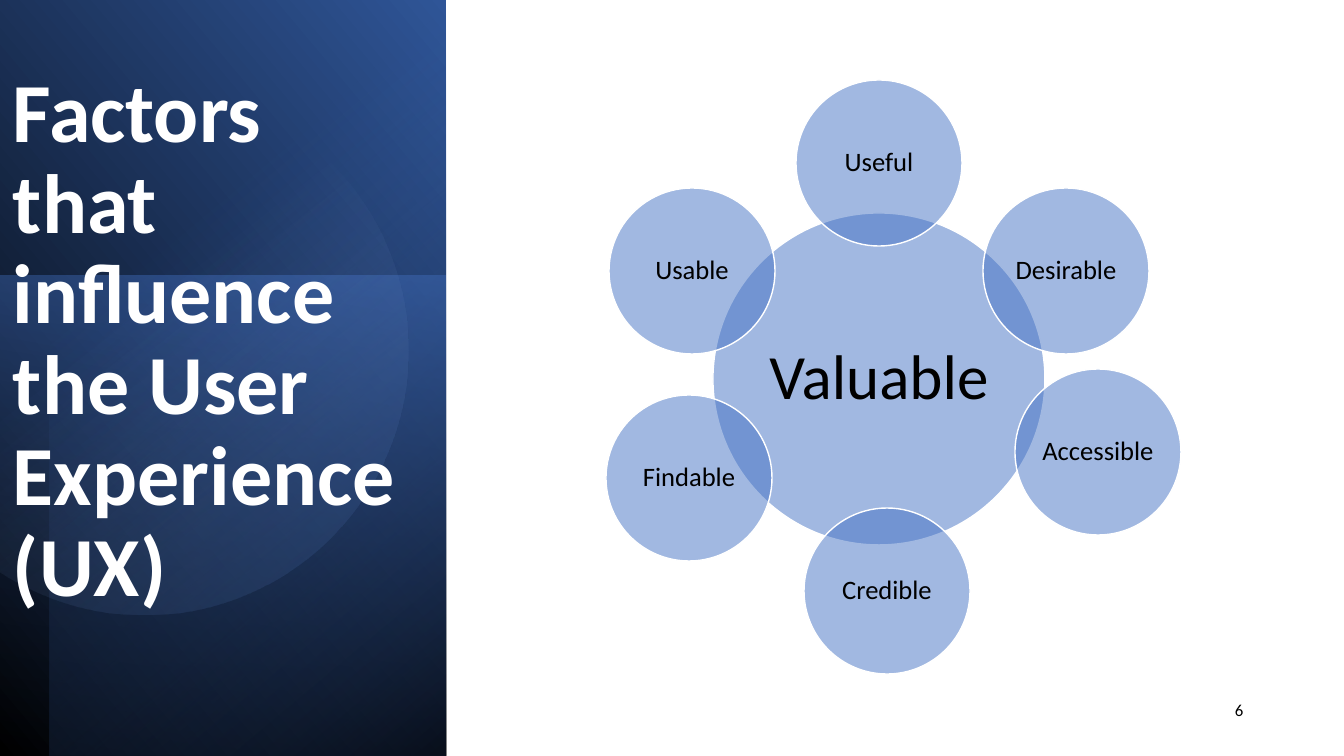
"""Build a slide on the factors that influence the User Experience."""
import math

from lxml import etree
from pptx import Presentation, util as u
from pptx.dml.color import RGBColor
from pptx.enum import shapes, text
from pptx.oxml import ns

TITLE = "Factors that influence the User Experience (UX)"
PAGE = "6"
HUB = ("Valuable", 713, 213)
FACTORS = [
    ("Useful", 796, 80),
    ("Desirable", 983, 188),
    ("Accessible", 1015, 369),
    ("Credible", 804, 508),
    ("Findable", 606, 395),
    ("Usable", 609, 188),
]
HUB_SIZE, FACTOR_SIZE = 332, 166
W, H, PANEL_W = 1344, 756, 446

BLACK = RGBColor(0x00, 0x00, 0x00)
WHITE = RGBColor(0xFF, 0xFF, 0xFF)
BLUE = RGBColor(0x44, 0x72, 0xC4)
DEEP_BLUE = RGBColor(0x2F, 0x55, 0x97)
NAVY = RGBColor(0x20, 0x38, 0x64)
PALE_BLUE = RGBColor(0x8F, 0xAA, 0xDC)

PANEL_LAYERS = [
    ((0, 0, PANEL_W, H), 320, [(0, BLACK, 100), (100, DEEP_BLUE, 100)]),
    ((0, 276, PANEL_W, H - 276), 100, [(0, BLUE, 50), (100, NAVY, 0)]),
    ((50, 0, PANEL_W - 50, H), 230, [(0, BLACK, 59), (69, BLUE, 0)]),
]
DISC_X, DISC_Y, DISC_R = 144, 350, 264
DISC_FILL = (52, [(39, PALE_BLUE, 0), (100, DEEP_BLUE, 26)])
FONT = "Calibri"


def px(n):
    return u.Emu(round(n * 914400 / 100.8))


def set_alpha(color, percent):
    etree.SubElement(color, ns.qn("a:alpha"), val=str(percent * 1000))


def plain(sp):
    sp.shadow.inherit = False
    sp.line.fill.background()


def gradient(sp, angle, stops):
    plain(sp)
    sp.fill.gradient()
    grad = sp.element.spPr.find(ns.qn("a:gradFill"))
    for child in list(grad):
        grad.remove(child)
    gs_list = etree.SubElement(grad, ns.qn("a:gsLst"))
    for pos, rgb, opacity in stops:
        gs = etree.SubElement(gs_list, ns.qn("a:gs"), pos=str(pos * 1000))
        color = etree.SubElement(gs, ns.qn("a:srgbClr"), val=str(rgb))
        set_alpha(color, opacity)
    etree.SubElement(grad, ns.qn("a:lin"), ang=str(angle * 60000), scaled="0")


def write(sp, words, size, color, inset=None, spacing=None, bold=False, align=None,
          anchor=text.MSO_ANCHOR.TOP):
    tf = sp.text_frame
    tf.word_wrap = True
    tf.vertical_anchor = anchor
    if inset is not None:
        tf.margin_left = tf.margin_right = tf.margin_top = tf.margin_bottom = px(inset)
    p = tf.paragraphs[0]
    p.text = words
    p.alignment = align
    p.line_spacing = spacing
    p.font.name, p.font.size, p.font.bold = FONT, u.Pt(size), bold
    p.font.color.rgb = color


def circle(s, words, x, y, d, size):
    sp = s.shapes.add_shape(shapes.MSO_SHAPE.OVAL, px(x), px(y), px(d), px(d))
    sp.shadow.inherit = False
    sp.fill.solid()
    sp.fill.fore_color.rgb = BLUE
    set_alpha(sp.element.spPr.find(ns.qn("a:solidFill"))[0], 50)
    sp.line.color.rgb = WHITE
    sp.line.width = u.Pt(1)
    write(sp, words, size, BLACK, 0, 0.9, align=text.PP_ALIGN.CENTER,
          anchor=text.MSO_ANCHOR.MIDDLE)


def panel(s):
    for box, angle, stops in PANEL_LAYERS:
        sp = s.shapes.add_shape(shapes.MSO_SHAPE.RECTANGLE, *map(px, box))
        gradient(sp, angle, stops)
    half = math.acos(-DISC_X / DISC_R)
    angles = [half * (i / 60 - 1) for i in range(121)]
    arc = [(px(DISC_X + DISC_R * math.cos(a)), px(DISC_Y + DISC_R * math.sin(a)))
           for a in angles]
    fb = s.shapes.build_freeform(*arc[0])
    fb.add_line_segments(arc[1:], close=True)
    gradient(fb.convert_to_shape(), *DISC_FILL)


def main():
    prs = Presentation()
    prs.slide_width, prs.slide_height = px(W), px(H)
    s = prs.slides.add_slide(prs.slide_layouts[6])
    panel(s)
    title = s.shapes.add_textbox(px(3), px(65), px(416), px(339))
    write(title, TITLE, 60, WHITE, spacing=0.9, bold=True)
    circle(s, *HUB, HUB_SIZE, 45)
    for factor in FACTORS:
        circle(s, *factor, FACTOR_SIZE, 19)
    number = s.shapes.add_textbox(px(1225), px(695), px(52), px(30))
    write(number, PAGE, 12, BLACK)
    prs.save("out.pptx")


if __name__ == "__main__":
    main()
